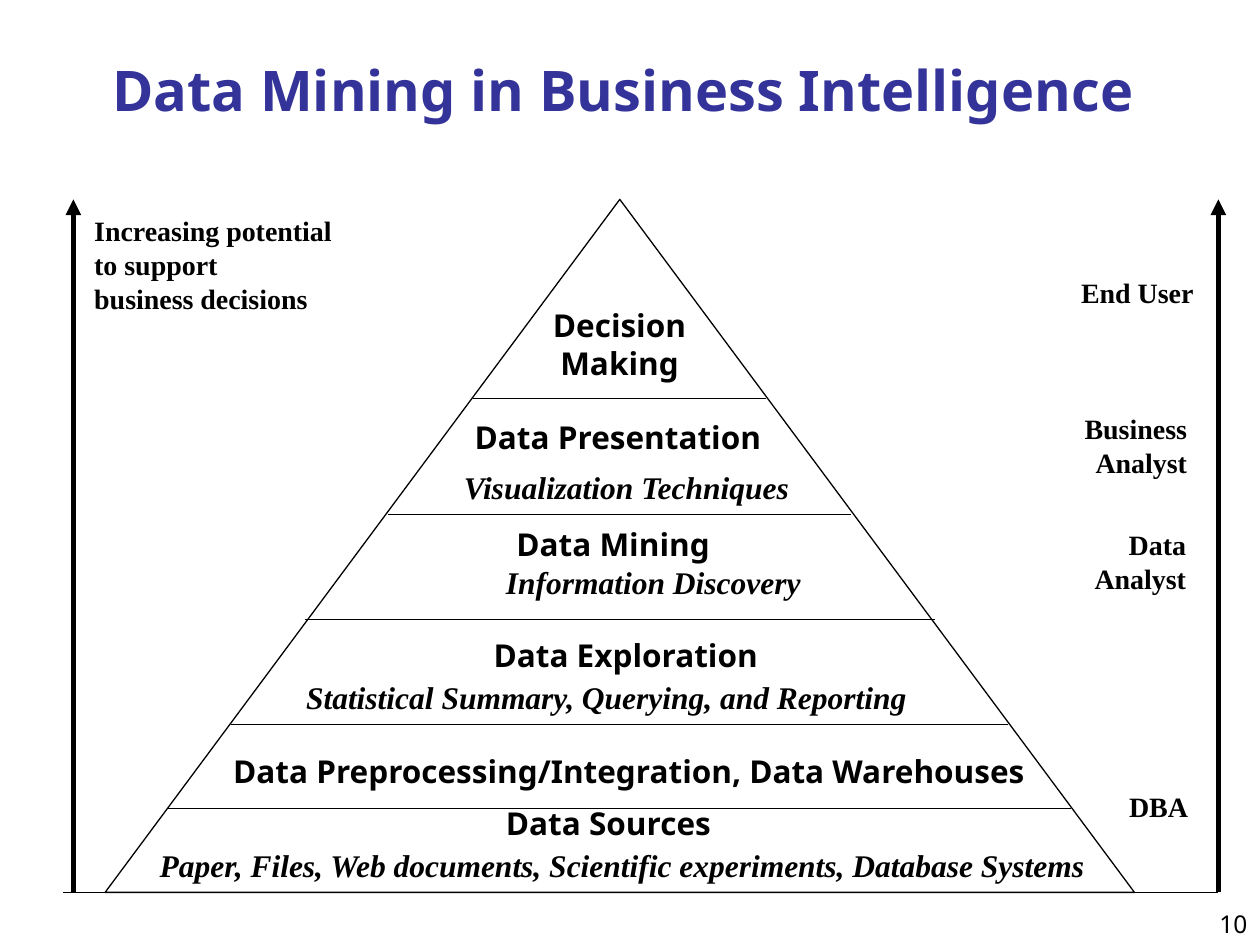
"""Build a slide showing the data mining pyramid in business intelligence."""
from dataclasses import dataclass

from lxml.etree import SubElement
from pptx import Presentation
from pptx.dml.color import RGBColor
from pptx.enum.shapes import MSO_CONNECTOR, MSO_SHAPE
from pptx.enum.text import MSO_ANCHOR, PP_ALIGN
from pptx.oxml.ns import qn
from pptx.util import Cm, Pt


@dataclass(frozen=True)
class Theme:
    ink: RGBColor = RGBColor(0x00, 0x00, 0x00)
    title: RGBColor = RGBColor(0x33, 0x33, 0x99)
    sans: str = "Noto Sans"
    serif: str = "Times New Roman"
    title_size: int = 32
    level_size: int = 18
    side_size: int = 16
    number_size: int = 14
    thin: float = 0.75
    thick: float = 3


THEME = Theme()
TITLE = "Data Mining in Business Intelligence"
PAGE_NUMBER = "10"
GOAL = ["Increasing potential", "to support", "business decisions"]

APEX_Y, BASE_Y = 4.02, 17.99
PYRAMID_LEFT, PYRAMID_WIDTH = 2.12, 20.75
ARROWS_X = [1.48, 24.56]
BASELINE = (1.27, 24.56)
DIVIDERS = [
    (9.53, 15.45, 8.04),
    (7.83, 17.15, 10.37),
    (6.14, 18.84, 12.49),
    (4.66, 20.32, 14.6),
    (3.39, 21.59, 16.3),
]
CENTERED_LEVELS = [
    ("Decision Making", 10.8, 6.05, 3.38),
    ("Data Exploration", 9.35, 12.7, 6.53),
]
LEVELS = [
    ("Data Presentation", 9.32, 8.31),
    ("Data Mining", 10.16, 10.46),
    ("Data Preprocessing/Integration, Data Warehouses", 4.45, 15.04),
    ("Data Sources", 9.95, 16.08),
]
DETAILS = [
    ("Visualization Techniques", 9.1, 9.32),
    ("Information Discovery", 9.95, 11.23),
    ("Statistical Summary, Querying, and Reporting", 5.92, 13.54),
    ("Paper, Files, Web documents, Scientific experiments, Database Systems", 2.97, 16.94),
]
LEVEL_WIDTH, LEVEL_HEIGHT = 20, 1.02
ROLES = [
    (["End User"], 24.31, 5.44),
    (["Business", "Analyst"], 24.18, 8.18),
    (["Data", "Analyst"], 24.16, 10.52),
    (["DBA"], 24.2, 15.8),
]
ROLE_WIDTH = 3.5


def add_text(slide, lines, box, size, font, align=PP_ALIGN.LEFT, bold=True,
             italic=False, color=THEME.ink, anchor=MSO_ANCHOR.TOP):
    frame = slide.shapes.add_textbox(*map(Cm, box)).text_frame
    frame.word_wrap = True
    frame.vertical_anchor = anchor
    frame.text = "\n".join(lines)
    for paragraph in frame.paragraphs:
        paragraph.alignment = align
        paragraph.font.name = font
        paragraph.font.size = Pt(size)
        paragraph.font.bold = bold
        paragraph.font.italic = italic
        paragraph.font.color.rgb = color


def add_line(slide, start, end, width=THEME.thin, arrow=False):
    line = slide.shapes.add_connector(MSO_CONNECTOR.STRAIGHT, *map(Cm, start + end))
    line.line.color.rgb = THEME.ink
    line.line.width = Pt(width)
    properties = line.element.spPr
    if arrow:
        SubElement(properties.find(qn("a:ln")), qn("a:tailEnd"), type="triangle")
    SubElement(properties, qn("a:effectLst"))


def add_pyramid(slide):
    pyramid = slide.shapes.add_shape(
        MSO_SHAPE.FLOWCHART_EXTRACT,
        *map(Cm, (PYRAMID_LEFT, APEX_Y, PYRAMID_WIDTH, BASE_Y - APEX_Y)))
    pyramid.shadow.inherit = False
    pyramid.fill.background()
    pyramid.line.color.rgb = THEME.ink
    pyramid.line.width = Pt(THEME.thin)
    for left, right, y in DIVIDERS:
        add_line(slide, (left, y), (right, y))
    for x in ARROWS_X:
        add_line(slide, (x, BASE_Y), (x, APEX_Y), THEME.thick, arrow=True)
    add_line(slide, (BASELINE[0], BASE_Y), (BASELINE[1], BASE_Y))


def add_labels(slide):
    add_text(slide, GOAL, (1.65, 4.19, 6, 2.29), THEME.side_size, THEME.serif)
    for lines, right, top in ROLES:
        box = (right - ROLE_WIDTH, top, ROLE_WIDTH, 0.25 + 0.69 * len(lines))
        add_text(slide, lines, box, THEME.side_size, THEME.serif, PP_ALIGN.RIGHT)
    for text, left, top, width in CENTERED_LEVELS:
        add_text(slide, [text], (left, top, width, LEVEL_HEIGHT),
                 THEME.level_size, THEME.sans, PP_ALIGN.CENTER)
    for rows, font, italic in ((LEVELS, THEME.sans, False), (DETAILS, THEME.serif, True)):
        for text, left, top in rows:
            add_text(slide, [text], (left, top, LEVEL_WIDTH, LEVEL_HEIGHT),
                     THEME.level_size, font, italic=italic)


presentation = Presentation()
presentation.slide_width, presentation.slide_height = Cm(25.4), Cm(19.05)
slide = presentation.slides.add_slide(presentation.slide_layouts[6])
add_text(slide, [PAGE_NUMBER], (20.12, 17.78, 5.28, 1.27), THEME.number_size, THEME.sans,
         PP_ALIGN.RIGHT, bold=False, anchor=MSO_ANCHOR.BOTTOM)
add_text(slide, [TITLE], (0.5, 1.07, 24.13, 1.47), THEME.title_size, THEME.sans,
         PP_ALIGN.CENTER, color=THEME.title, anchor=MSO_ANCHOR.MIDDLE)
add_pyramid(slide)
add_labels(slide)
presentation.save("out.pptx")
